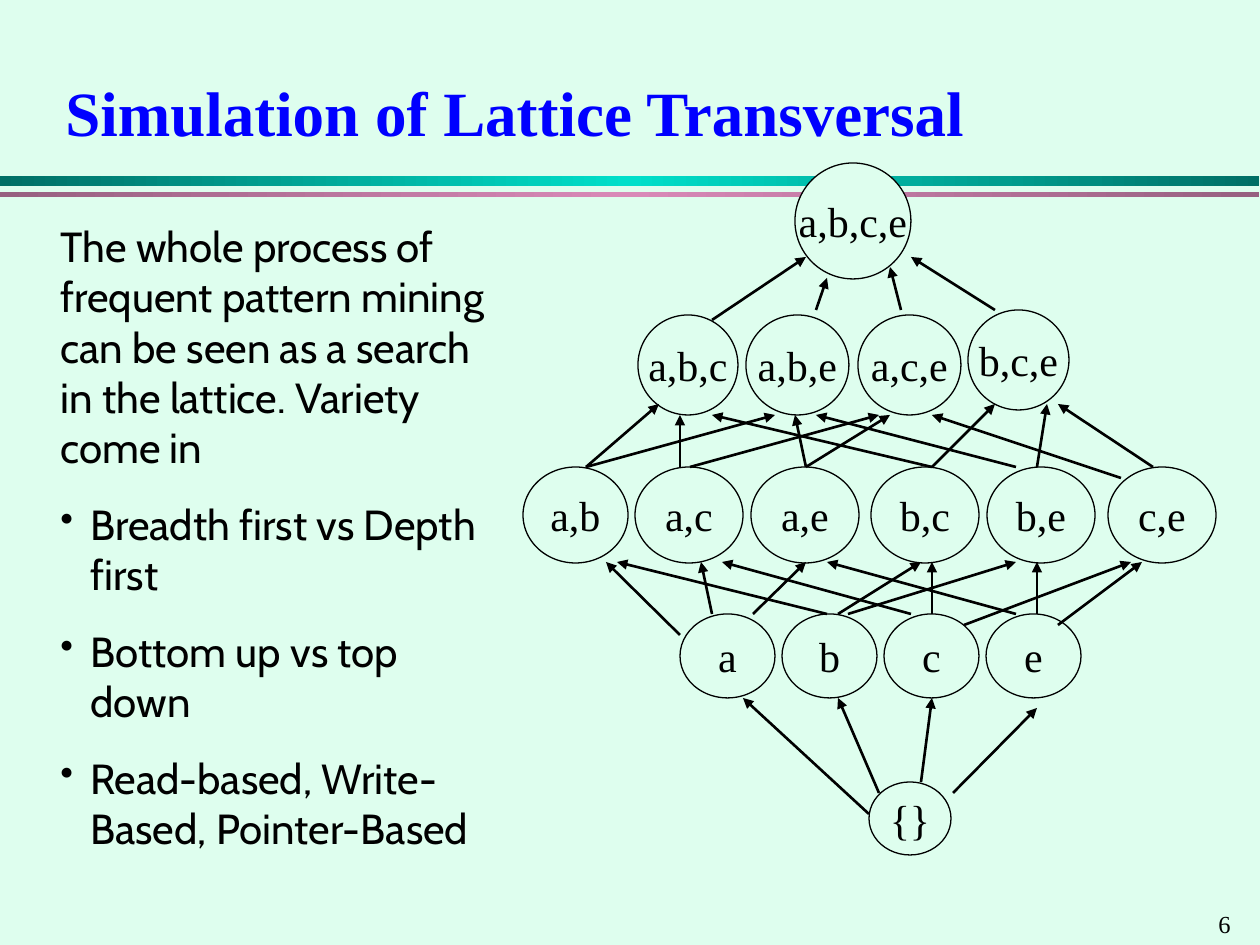
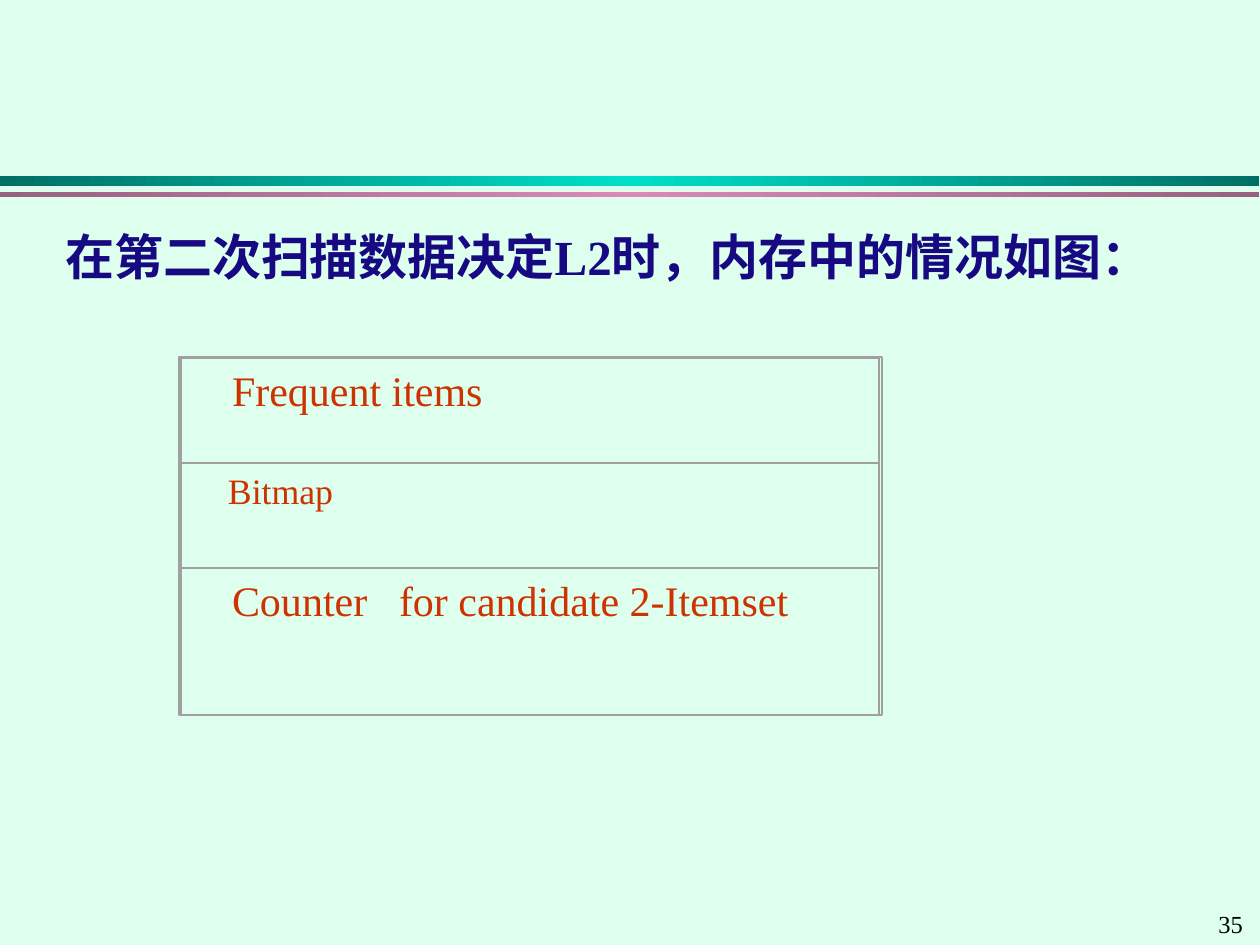
from collections import namedtuple
from dataclasses import dataclass
from copy import deepcopy

from lxml.etree import SubElement
from pptx import Presentation
from pptx.dml.color import RGBColor
from pptx.enum.shapes import MSO_CONNECTOR as Connector, MSO_SHAPE as Shape
from pptx.enum.text import MSO_ANCHOR as Anchor, PP_ALIGN as Align
from pptx.oxml.ns import qn
from pptx.util import Pt

PX = 914400 / 126
Box = namedtuple("Box", "left top width height")


@dataclass(frozen=True)
class Theme:
    paper: str = "DEFEEE"
    ink: str = "000000"
    title: str = "0000FF"
    heading: str = "170981"
    region: str = "CC3300"
    frame: str = "A0A0A0"
    teal: tuple = ("006F65", "00DFCA", "006F65")
    mauve: tuple = ("976080", "D989B8", "976080")
    serif: str = "Times New Roman"
    sans: str = "Cabin"
    title_size: float = 36
    heading_size: float = 28
    body_size: float = 24
    bitmap_size: float = 20.4
    number_size: float = 14


THEME = Theme()
SLIDE = Box(0, 0, 1260, 945)
TITLE = Box(53, 53, 1155, 116)
BANDS = Box(0, 176, 1259, 21)
NUMBER = Box(1206, 903, 54, 43)
PROCESS = Box(48, 214, 466, 646)
LATTICE = Box(523, 163, 693, 692)
HEADING = Box(53, 220, 1155, 662)
MEMORY = Box(179, 357, 703, 358)

VARIETIES = [
    "Breadth first vs Depth first",
    "Bottom up vs top down",
    "Read-based, Write-Based, Pointer-Based",
]

PAIRS_X = {"a,b": 0, "a,c": 112, "a,e": 228, "b,c": 348, "b,e": 464, "c,e": 585}
ITEMSETS = {
    **{pair: (x, 304, 105 if pair == "a,b" else 108, 96) for pair, x in PAIRS_X.items()},
    "a,b,c": (115, 152, 100, 100),
    "a,b,e": (223, 152, 103, 100),
    "a,c,e": (335, 152, 103, 100),
    "b,c,e": (445, 147, 101, 100),
    **{item: (157 + 102 * i, 451, 95, 84) for i, item in enumerate("abce")},
    "a,b,c,e": (272, 0, 116, 116),
    "{}": (346, 619, 82, 73),
}

EMPTY_TO_ITEMS = [
    (430, 630, 514, 545), (398, 619, 409, 535),
    (356, 630, 315, 535), (346, 651, 220, 535),
]
ITEMS_TO_PAIRS = [
    (157, 472, 83, 399), (189, 451, 178, 399), (230, 451, 283, 399),
    (315, 451, 398, 399), (304, 451, 94, 399), (325, 451, 493, 399),
    (388, 451, 199, 399), (409, 451, 409, 399), (441, 462, 608, 399),
    (493, 451, 304, 399), (514, 451, 514, 399), (535, 462, 619, 399),
]
PAIRS_TO_TRIPLES = [
    (63, 304, 136, 241), (63, 304, 252, 252), (157, 304, 157, 252),
    (167, 304, 356, 252), (283, 304, 272, 252), (283, 304, 367, 252),
    (409, 304, 189, 252), (409, 304, 472, 241), (493, 304, 293, 252),
    (514, 304, 524, 241), (598, 315, 409, 252), (630, 304, 535, 241),
]
TRIPLES_TO_TOP = [
    (189, 157, 283, 94), (293, 147, 304, 115),
    (378, 147, 367, 104), (472, 147, 388, 94),
]
STEPS = EMPTY_TO_ITEMS + ITEMS_TO_PAIRS + PAIRS_TO_TRIPLES + TRIPLES_TO_TOP


def px(length):
    return round(length * PX)


def rgb(code):
    return RGBColor.from_string(code)


def emu(box):
    return [px(length) for length in box]


def inside(box, left, top, width, height):
    return Box(box.left + left, box.top + top, width, height)


def style(paragraph, size, color, font=THEME.serif, bold=False):
    for run in paragraph.runs:
        run.font.size = Pt(size)
        run.font.color.rgb = rgb(color)
        run.font.name = font
        run.font.bold = bold


def add_shape(slide, kind, box):
    shape = slide.shapes.add_shape(kind, *emu(box))
    shape.shadow.inherit = False
    return shape


def add_text(slide, box, text, size, color, bold=False, anchor=Anchor.TOP):
    frame = slide.shapes.add_textbox(*emu(box)).text_frame
    frame.word_wrap = True
    frame.vertical_anchor = anchor
    frame.text = text
    style(frame.paragraphs[0], size, color, bold=bold)
    return frame


def set_indent(paragraph, hanging):
    properties = paragraph._p.get_or_add_pPr()
    properties.set("marL", str(px(hanging)))
    properties.set("indent", str(-px(hanging)))
    return properties


def add_bullet(paragraph):
    properties = set_indent(paragraph, 30)
    color = SubElement(properties, qn("a:buClr"))
    SubElement(color, qn("a:srgbClr"), val=THEME.ink)
    SubElement(properties, qn("a:buSzPct"), val="90000")
    SubElement(properties, qn("a:buChar"), char="•")


def add_band(slide, box, colors):
    band = add_shape(slide, Shape.RECTANGLE, box)
    band.line.fill.background()
    band.fill.gradient()
    band.fill.gradient_angle = 0
    stops = band._element.spPr.find(qn("a:gradFill")).find(qn("a:gsLst"))
    stops.append(deepcopy(stops[0]))
    for i, (stop, color) in enumerate(zip(band.fill.gradient_stops, colors)):
        stop.position = i / 2
        stop.color.rgb = rgb(color)


def add_page(deck, number):
    slide = deck.slides.add_slide(deck.slide_layouts[6])
    slide.background.fill.solid()
    slide.background.fill.fore_color.rgb = rgb(THEME.paper)
    add_band(slide, inside(BANDS, 0, 0, BANDS.width, 10), THEME.teal)
    add_band(slide, inside(BANDS, 0, 16, BANDS.width, 5), THEME.mauve)
    add_text(slide, NUMBER, str(number), THEME.number_size, THEME.ink)
    return slide


def add_itemset(slide, box, items):
    itemset = add_shape(slide, Shape.OVAL, box)
    itemset.fill.solid()
    itemset.fill.fore_color.rgb = rgb(THEME.paper)
    itemset.line.color.rgb = rgb(THEME.ink)
    itemset.line.width = Pt(0.75)
    frame = itemset.text_frame
    frame.word_wrap = False
    frame.vertical_anchor = Anchor.MIDDLE
    frame.text = items
    frame.paragraphs[0].alignment = Align.CENTER
    style(frame.paragraphs[0], THEME.body_size, THEME.ink)


def add_step(slide, box, start_x, start_y, end_x, end_y):
    step = slide.shapes.add_connector(
        Connector.STRAIGHT,
        px(box.left + start_x), px(box.top + start_y),
        px(box.left + end_x), px(box.top + end_y),
    )
    step.line.color.rgb = rgb(THEME.ink)
    step.line.width = Pt(1.5)
    properties = step._element.spPr
    SubElement(properties.find(qn("a:ln")), qn("a:tailEnd"), type="triangle")
    SubElement(properties, qn("a:effectLst"))


def add_lattice(slide, box):
    for items, place in ITEMSETS.items():
        add_itemset(slide, inside(box, *place), items)
    for step in STEPS:
        add_step(slide, box, *step)


def add_process(slide, box):
    intro = ("The whole process of frequent pattern mining can be seen "
             "as a search in the lattice. Variety come in")
    frame = add_text(slide, box, intro, THEME.body_size, THEME.ink)
    for variety in VARIETIES:
        paragraph = frame.add_paragraph()
        paragraph.text = variety
        paragraph.space_before = Pt(15)
        add_bullet(paragraph)
    for paragraph in frame.paragraphs:
        style(paragraph, THEME.body_size, THEME.ink, THEME.sans)


def outline(shape, width):
    shape.fill.background()
    shape.line.color.rgb = rgb(THEME.frame)
    shape.line.width = Pt(width)


def add_region(slide, box, text, size, inset):
    region = add_shape(slide, Shape.RECTANGLE, box)
    outline(region, 0)
    frame = region.text_frame
    frame.word_wrap = True
    frame.vertical_anchor = Anchor.TOP
    frame.margin_left = px(inset)
    frame.text = text
    paragraph = frame.paragraphs[0]
    paragraph.alignment = Align.LEFT
    if "\t" in text:
        tabs = SubElement(paragraph._p.get_or_add_pPr(), qn("a:tabLst"))
        SubElement(tabs, qn("a:tab"), pos=str(px(167)), algn="l")
    style(paragraph, size, THEME.region)


def add_memory(slide, box):
    regions = [
        ("Frequent items", THEME.body_size, 51, 105),
        ("Bitmap", THEME.bitmap_size, 47, 105),
        ("Counter\tfor candidate 2-Itemset", THEME.body_size, 51, 147),
    ]
    top = 1
    for text, size, inset, height in regions:
        place = inside(box, 2, top, box.width - 5, height)
        add_region(slide, place, text, size, inset)
        top += height
    outline(add_shape(slide, Shape.RECTANGLE, box), 0.88)


def lattice_slide(deck):
    slide = add_page(deck, 6)
    add_text(slide, TITLE, "Simulation of Lattice Transversal", THEME.title_size,
             THEME.title, bold=True, anchor=Anchor.MIDDLE)
    add_lattice(slide, LATTICE)
    add_process(slide, PROCESS)


def memory_slide(deck):
    slide = add_page(deck, 35)
    frame = add_text(slide, HEADING, "在第二次扫描数据决定L2时，内存中的情况如图：",
                     THEME.heading_size, THEME.heading, bold=True)
    heading = frame.paragraphs[0]
    heading.alignment = Align.JUSTIFY
    set_indent(heading, 48)
    add_memory(slide, MEMORY)


def main():
    deck = Presentation()
    deck.slide_width = px(SLIDE.width)
    deck.slide_height = px(SLIDE.height)
    lattice_slide(deck)
    memory_slide(deck)
    deck.save("out.pptx")


if __name__ == "__main__":
    main()
